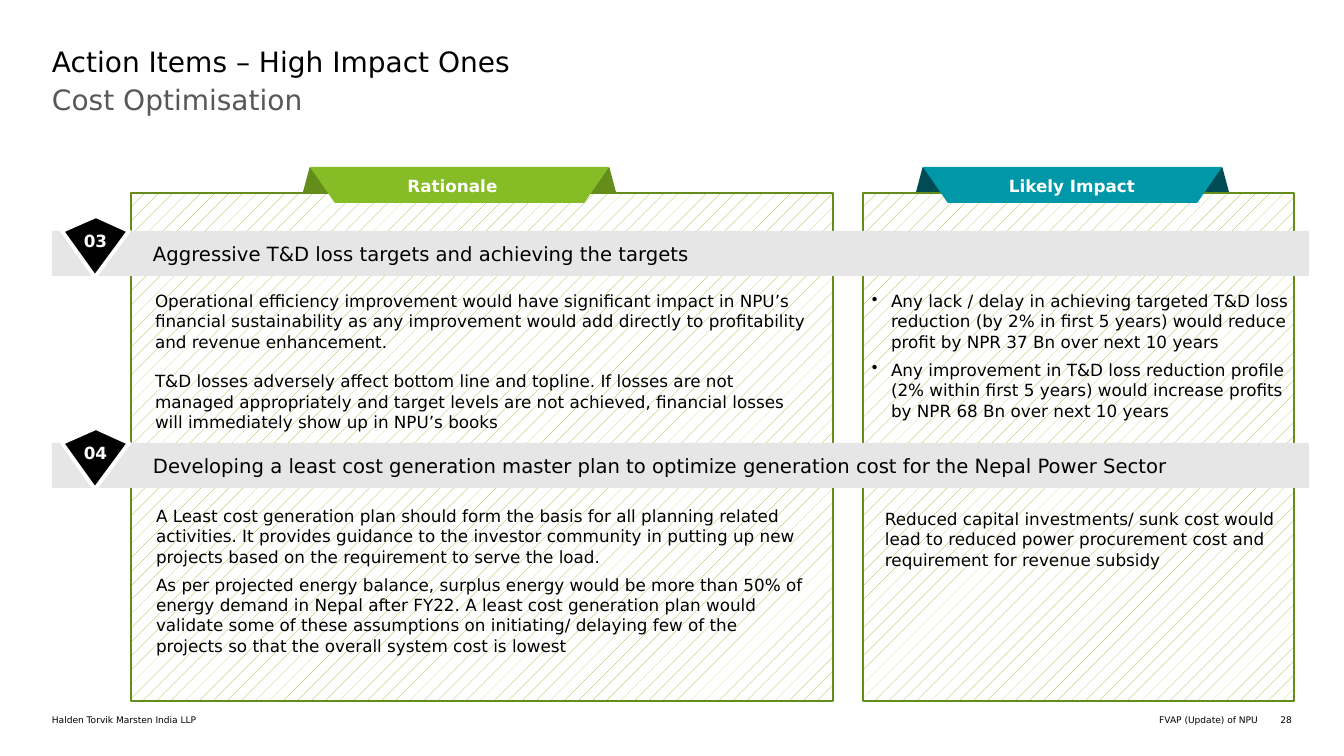
from lxml import etree
from pptx import Presentation
from pptx import util as u
from pptx.dml.color import RGBColor
from pptx.enum import dml, shapes, text
from pptx.oxml.ns import qn

SCALE = 914400 / 100.8
THEME = {
    "font": "DejaVu Sans", "black": "000000", "white": "FFFFFF", "gray": "575757",
    "band": "E7E6E6", "lime": "86BC25", "moss": "658D1C", "teal": "0097A9", "deep": "004B54",
    "head": 20, "lead": 14, "text": 12, "foot": 6.5,
}
KIND = shapes.MSO_SHAPE
ALIGN = text.PP_ALIGN


def write(frame, lines, size="text", color="black", bold=False, align=ALIGN.LEFT,
          before=0, after=0, inset=(10, 5, 10, 5), anchor=text.MSO_ANCHOR.TOP,
          wrap=True, bullet=None, left=0, hang=0):
    frame.auto_size = text.MSO_AUTO_SIZE.NONE
    frame.word_wrap = wrap
    frame.vertical_anchor = anchor
    (frame.margin_left, frame.margin_top,
     frame.margin_right, frame.margin_bottom) = [round(n * SCALE) for n in inset]
    for i, line in enumerate(lines):
        para = frame.paragraphs[0] if i == 0 else frame.add_paragraph()
        props = para._p.get_or_add_pPr()
        props.set("marL", str(round(left * SCALE)))
        props.set("indent", str(round(-hang * SCALE)))
        if bullet:
            etree.SubElement(props, qn("a:buChar")).set("char", bullet)
        else:
            etree.SubElement(props, qn("a:buNone"))
        para.alignment = align
        para.space_before = u.Pt(before if i else 0)
        para.space_after = u.Pt(after)
        run = para.add_run()
        run.text = line
        run.font.name = THEME["font"]
        run.font.size = u.Pt(THEME[size])
        run.font.bold = bold
        run.font.color.rgb = RGBColor.from_string(THEME[color])


def block(kind, box, color):
    shape = slide.shapes.add_shape(kind, *[round(n * SCALE) for n in box])
    shape.shadow.inherit = False
    shape.fill.solid()
    shape.fill.fore_color.rgb = RGBColor.from_string(THEME[color])
    shape.line.fill.background()
    return shape


deck = Presentation()
deck.slide_width = round(1344 * SCALE)
deck.slide_height = round(756 * SCALE)
slide = deck.slides.add_slide(deck.slide_layouts[1])

heads = [
    (slide.shapes.title, (52, 44, 1241, 77), "Action Items – High Impact Ones", "black"),
    (slide.placeholders[1], (52, 82, 1241, 84), "Cost Optimisation", "gray"),
]
for hold, box, line, color in heads:
    hold.left, hold.top, hold.width, hold.height = [round(n * SCALE) for n in box]
    write(hold.text_frame, [line], size="head", color=color, inset=(0, 0, 0, 0))

for left, width in [(863, 431), (131, 702)]:
    panel = block(KIND.RECTANGLE, (left, 193, width, 508), "white")
    panel.fill.patterned()
    panel.fill.pattern = dml.MSO_PATTERN.PERCENT_5
    panel.fill.fore_color.rgb = RGBColor.from_string(THEME["lime"])
    panel.fill.back_color.rgb = RGBColor.from_string(THEME["white"])
    panel.line.color.rgb = RGBColor.from_string(THEME["moss"])
    panel.line.width = u.Pt(1)

tabs = [
    (303, "lime", "moss", "Rationale", 397, 111),
    (916, "teal", "deep", "Likely Impact", 997, 150),
]
for left, face, fold, name, start, width in tabs:
    for shift in (284, 0):
        ear = block(KIND.ISOSCELES_TRIANGLE, (left + shift, 167, 29, 25), fold)
        ear.adjustments[0] = 0.23
        if shift:
            ear._element.spPr.find(qn("a:xfrm")).set("flipH", "1")
    front = block(KIND.TRAPEZOID, (left + 7, 167, 299, 36), face)
    front.adjustments[0] = 0.69
    front.rotation = 180
    label = slide.shapes.add_textbox(*[round(n * SCALE) for n in (start, 171, width, 30)])
    write(label.text_frame, [name], color="white", bold=True, align=ALIGN.CENTER, wrap=False)

items = [
    ("03", "Aggressive T&D loss targets and achieving the targets"),
    ("04", "Developing a least cost generation master plan to optimize generation cost "
           "for the Nepal Power Sector"),
]
for i, (mark, name) in enumerate(items):
    top = 231 + 212 * i
    band = block(KIND.RECTANGLE, (52, top, 1257, 45), "band")
    write(band.text_frame, [name], size="lead", inset=(91, 10, 10, 10), left=10,
          anchor=text.MSO_ANCHOR.MIDDLE)
    path = slide.shapes.build_freeform(95, top + 46, scale=SCALE)
    path.add_line_segments([(62, top), (96, top - 15), (129, top)], close=True)
    gem = path.convert_to_shape()
    gem.shadow.inherit = False
    gem.fill.solid()
    gem.fill.fore_color.rgb = RGBColor.from_string(THEME["black"])
    gem.line.color.rgb = RGBColor.from_string(THEME["white"])
    gem.line.width = u.Pt(2.75)
    write(gem.text_frame, [mark], color="white", bold=True, align=ALIGN.CENTER,
          inset=(10, 15, 10, 5))

none = (0, 0, 0, 0)
notes = [
    ((145, 286, 672, 152), [
        "Operational efficiency improvement would have significant impact in NPU’s financial "
        "sustainability as any improvement would add directly to profitability and revenue "
        "enhancement.",
        "T&D losses adversely affect bottom line and topline. If losses are not managed "
        "appropriately and target levels are not achieved, financial losses will immediately "
        "show up in NPU’s books",
    ], {"before": 14}),
    ((862, 286, 438, 141), [
        "Any lack / delay in achieving targeted T&D loss reduction (by 2% in first 5 years) "
        "would reduce profit by NPR 37 Bn over next 10 years",
        "Any improvement in T&D loss reduction profile (2% within first 5 years) would "
        "increase profits by NPR 68 Bn over next 10 years",
    ], {"after": 6, "bullet": "•", "left": 19, "hang": 19}),
    ((146, 501, 672, 161), [
        "A Least cost generation plan should form the basis for all planning related "
        "activities. It provides guidance to the investor community in putting up new "
        "projects based on the requirement to serve the load.",
        "As per projected energy balance, surplus energy would be more than 50% of energy "
        "demand in Nepal after FY22. A least cost generation plan would validate some of "
        "these assumptions on initiating/ delaying few of the projects so that the overall "
        "system cost is lowest",
    ], {"after": 6}),
    ((875, 504, 417, 71), [
        "Reduced capital investments/ sunk cost would lead to reduced power procurement cost "
        "and requirement for revenue subsidy",
    ], {}),
    ((52, 714, 591, 11), ["Halden Torvik Marsten India LLP"], {"size": "foot", "inset": none}),
    ((718, 714, 540, 11), ["FVAP (Update) of NPU"],
     {"size": "foot", "inset": none, "align": ALIGN.RIGHT}),
    ((1258, 714, 34, 11), ["28"], {"size": "foot", "inset": none, "align": ALIGN.RIGHT}),
]
for box, lines, form in notes:
    note = slide.shapes.add_textbox(*[round(n * SCALE) for n in box])
    write(note.text_frame, lines, **form)

deck.save("out.pptx")
